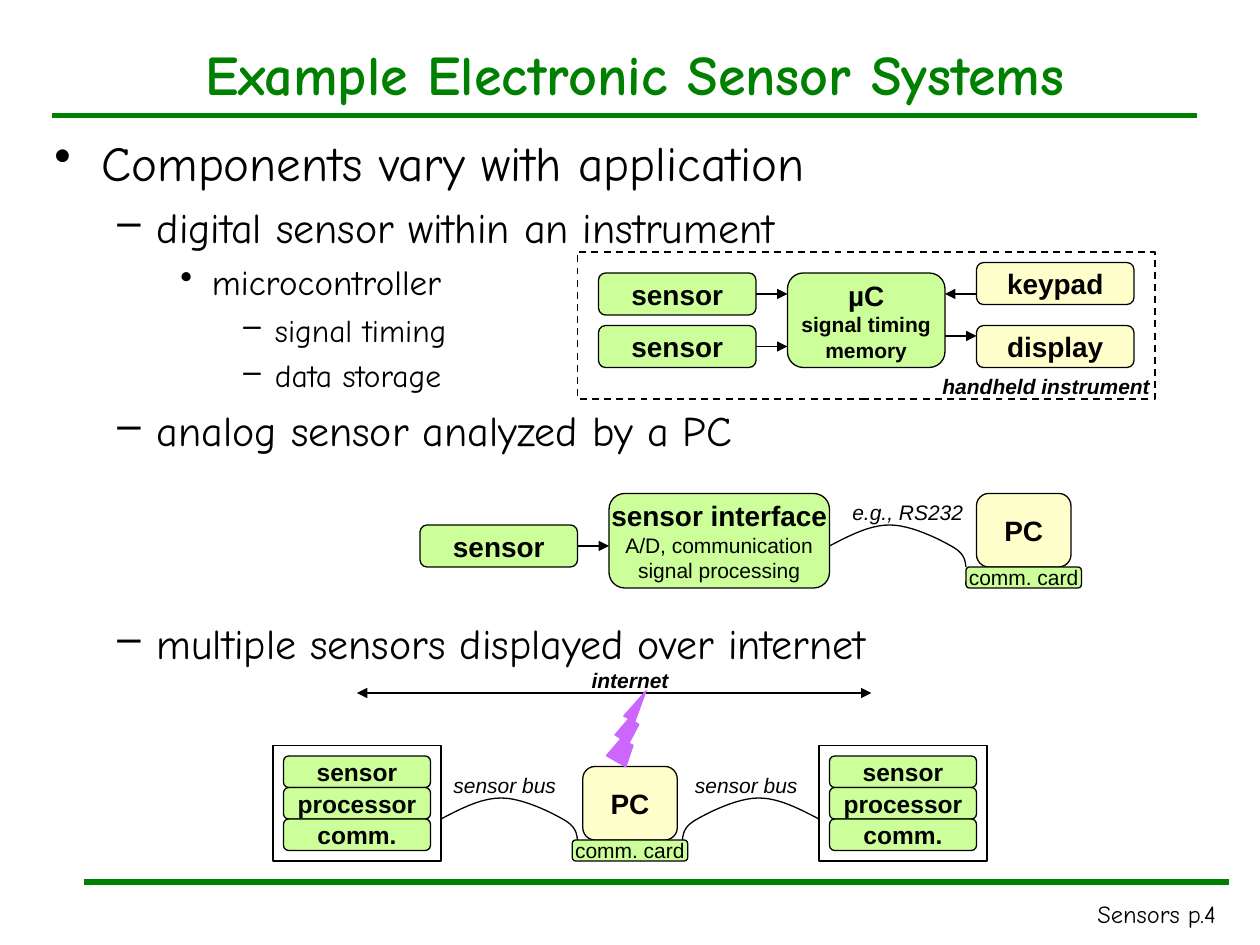
from dataclasses import dataclass
from typing import NamedTuple, Optional

from lxml import etree
from pptx import Presentation
from pptx import util as u
from pptx.dml.color import RGBColor
from pptx.enum import dml, shapes, text
from pptx.oxml.ns import qn

Pt = u.Pt


@dataclass(frozen=True)
class Theme:
    ink: str = "000000"
    accent: str = "008000"
    process: str = "CCFF99"
    user: str = "FFFFCC"
    bolt: str = "CC66FF"
    heading_font: str = "Comic Neue"
    diagram_font: str = "Arial"
    title: float = 32
    block: float = 16
    module: float = 14
    detail: float = 12
    hairline: float = 0.75
    rule: float = 3


class Box(NamedTuple):
    x: float
    y: float
    w: float
    h: float

    def lengths(self):
        return [Pt(value) for value in self]


class Line(NamedTuple):
    words: str
    size: float
    bold: bool = True


class Block(NamedTuple):
    box: Box
    fill: str
    lines: tuple


class Label(NamedTuple):
    words: str
    box: Box
    bold: bool = False


class Level(NamedTuple):
    size: float
    margin: float
    hang: float
    before: float
    bullet: str


class Arrow(NamedTuple):
    x1: float
    y1: float
    x2: float
    y2: float
    both: bool = False


T = Theme()
LEVELS = (Level(28, 27, 27, 0, "•"), Level(24, 58.5, 22.5, 6, "–"),
          Level(20, 90, 18, 5, "•"), Level(18, 126, 18, 4.5, "–"))
DIAGRAM_GAP = 93
OUTLINE = (
    (0, "Components vary with application", None),
    (1, "digital sensor within an instrument", None),
    (2, "microcontroller", None),
    (3, "signal timing", None),
    (3, "data storage", None),
    (1, "analog sensor analyzed by a PC", None),
    (1, "multiple sensors displayed over internet", DIAGRAM_GAP),
)
CABLE_WIDTH = 78
CABLE = ((0, 12), (11.5, 6), (23, 0), (34.5, 0), (46.5, 0),
         (62.5, 8), (69.5, 12), (77, 16), (77.5, 20), (78, 24))


def one_line(words: str, x: float, y: float, fill: str) -> Block:
    return Block(Box(x, y, 90, 24), fill, (Line(words, T.block),))


def computer(x: float, y: float) -> tuple:
    return (Block(Box(x, y, 54, 42), T.user, (Line("PC", T.block),)),
            Block(Box(x - 6, y + 42, 66, 12), T.process,
                  (Line("comm. card", T.detail, False),)))


def station(x: float, y: float) -> list:
    return [Block(Box(x + 6, y + 6 + 18 * row, 84, 18), T.process,
                  (Line(words, T.module),))
            for row, words in enumerate(("sensor", "processor", "comm."))]


def write(paragraph, words: str, *, size: float, font: str = T.diagram_font,
          color: str = T.ink, bold: bool = False, italic: bool = False,
          align=text.PP_ALIGN.LEFT) -> None:
    paragraph.alignment = align
    run = paragraph.add_run()
    run.text = words
    run.font.name, run.font.size = font, Pt(size)
    run.font.bold, run.font.italic = bold, italic
    run.font.color.rgb = RGBColor.from_string(color)


def next_paragraph(frame, index: int):
    return frame.add_paragraph() if index else frame.paragraphs[0]


def add_frame(slide, box: Box, wrap: bool = True):
    frame = slide.shapes.add_textbox(*box.lengths()).text_frame
    frame.word_wrap = wrap
    return frame


def style(shape, fill: Optional[str], line: str = T.ink,
          width: float = T.hairline) -> None:
    shape.shadow.inherit = False
    if fill:
        shape.fill.solid()
        shape.fill.fore_color.rgb = RGBColor.from_string(fill)
    else:
        shape.fill.background()
    shape.line.color.rgb = RGBColor.from_string(line)
    shape.line.width = Pt(width)


def draw_block(slide, block: Block) -> None:
    shape = slide.shapes.add_shape(shapes.MSO_SHAPE.ROUNDED_RECTANGLE, *block.box.lengths())
    style(shape, block.fill)
    frame = shape.text_frame
    frame.word_wrap = False
    frame.vertical_anchor = text.MSO_ANCHOR.MIDDLE
    for index, line in enumerate(block.lines):
        write(next_paragraph(frame, index), line.words, size=line.size,
              bold=line.bold, align=text.PP_ALIGN.CENTER)


def draw_border(slide, box: Box, width: float = T.hairline, dashed: bool = False) -> None:
    border = slide.shapes.add_shape(shapes.MSO_SHAPE.RECTANGLE, *box.lengths())
    style(border, None, width=width)
    if dashed:
        border.line.dash_style = dml.MSO_LINE.DASH


def draw_line(slide, ends: Arrow, color: str, width: float, heads: tuple = ()) -> None:
    line = slide.shapes.add_connector(shapes.MSO_CONNECTOR.STRAIGHT,
                                      *(Pt(value) for value in ends[:4]))
    line.line.color.rgb = RGBColor.from_string(color)
    line.line.width = Pt(width)
    outline = line.line._get_or_add_ln()
    for head in heads:
        etree.SubElement(outline, qn(head), type="triangle")
    etree.SubElement(line._element.spPr, qn("a:effectLst"))


def draw_arrow(slide, arrow: Arrow) -> None:
    heads = ("a:headEnd", "a:tailEnd") if arrow.both else ("a:tailEnd",)
    draw_line(slide, arrow, T.ink, T.hairline, heads)


def draw_cable(slide, x: float, y: float, mirrored: bool = False, steps: int = 12) -> None:
    points = []
    for first in range(0, len(CABLE) - 1, 3):
        for step in range(1, steps + 1):
            t = step / steps
            weights = ((1 - t) ** 3, 3 * t * (1 - t) ** 2, 3 * t * t * (1 - t), t ** 3)
            controls = CABLE[first:first + 4]
            points.append([sum(k * c[axis] for k, c in zip(weights, controls))
                           for axis in (0, 1)])
    placed = [(Pt(x + (CABLE_WIDTH - px if mirrored else px)), Pt(y + py))
              for px, py in [CABLE[0], *points]]
    builder = slide.shapes.build_freeform(*placed[0])
    builder.add_line_segments(placed[1:], close=False)
    style(builder.convert_to_shape(), None)


def draw_outline(slide) -> None:
    frame = add_frame(slide, Box(24, 72, 528, 426))
    for index, (depth, words, gap) in enumerate(OUTLINE):
        level = LEVELS[depth]
        paragraph = next_paragraph(frame, index)
        paragraph.level = depth
        paragraph.space_before = Pt(gap or level.before)
        props = paragraph._p.get_or_add_pPr()
        props.set("marL", str(Pt(level.margin)))
        props.set("indent", str(-Pt(level.hang)))
        etree.SubElement(props, qn("a:buChar"), char=level.bullet)
        write(paragraph, words, size=level.size, font=T.heading_font)


def draw_bolt(slide) -> None:
    bolt = slide.shapes.add_shape(shapes.MSO_SHAPE.LIGHTNING_BOLT,
                                  *Box(345, 396, 26.5, 42).lengths())
    style(bolt, T.bolt, T.bolt)
    bolt.rotation = 353.9
    bolt._element.spPr.find(qn("a:xfrm")).set("flipV", "1")


def main() -> None:
    deck = Presentation()
    deck.slide_width, deck.slide_height = Pt(720), Pt(540)
    slide = deck.slides.add_slide(deck.slide_layouts[6])

    for rule in (Arrow(48, 504, 702, 504), Arrow(30, 66, 684, 66)):
        draw_line(slide, rule, T.accent, T.rule)
    write(add_frame(slide, Box(534, 510, 168, 18)).paragraphs[0], "Sensors p.4",
          size=T.module, font=T.heading_font, align=text.PP_ALIGN.RIGHT)
    title = add_frame(slide, Box(24, 18, 678, 48))
    title.vertical_anchor = text.MSO_ANCHOR.MIDDLE
    write(title.paragraphs[0], "Example Electronic Sensor Systems", size=T.title,
          font=T.heading_font, color=T.accent, bold=True, align=text.PP_ALIGN.CENTER)
    draw_outline(slide)

    controller = (Line("µC", T.block), Line("signal timing", T.detail),
                  Line("memory", T.detail))
    interface = (Line("sensor interface", T.block),
                 Line("A/D, communication", T.detail, False),
                 Line("signal processing", T.detail, False))
    stations = ((156, 426), (468, 426))
    blocks = [Block(Box(450, 156, 90, 54), T.process, controller),
              one_line("keypad", 558, 150, T.user),
              one_line("display", 558, 186, T.user),
              *(one_line("sensor", x, y, T.process)
                for x, y in ((342, 156), (342, 186), (240, 300))),
              Block(Box(348, 282, 126, 54), T.process, interface),
              *computer(558, 282), *computer(333, 438)]
    for corner in stations:
        blocks += station(*corner)
    for block in blocks:
        draw_block(slide, block)

    draw_border(slide, Box(330, 144, 330, 84), width=1, dashed=True)
    for x, y in stations:
        draw_border(slide, Box(x, y, 96, 66))
    for arrow in (Arrow(432, 168, 450, 168), Arrow(432, 198, 450, 198),
                  Arrow(540, 192, 558, 192), Arrow(558, 168, 540, 168),
                  Arrow(330, 312, 348, 312), Arrow(204, 396, 498, 396, True)):
        draw_arrow(slide, arrow)
    draw_cable(slide, 474, 300)
    draw_cable(slide, 252, 456)
    draw_cable(slide, 390, 456, mirrored=True)
    draw_bolt(slide)

    for label in (Label("handheld instrument", Box(531.5, 210, 133, 21.6), True),
                  Label("e.g., RS232", Box(480, 282, 78, 21.6)),
                  Label("internet", Box(331, 378, 58.5, 21.6), True),
                  Label("sensor bus", Box(252, 438, 73, 21.6)),
                  Label("sensor bus", Box(390, 438, 73, 21.6))):
        write(add_frame(slide, label.box, wrap=False).paragraphs[0], label.words,
              size=T.detail, bold=label.bold, italic=True)

    deck.save("out.pptx")


if __name__ == "__main__":
    main()
